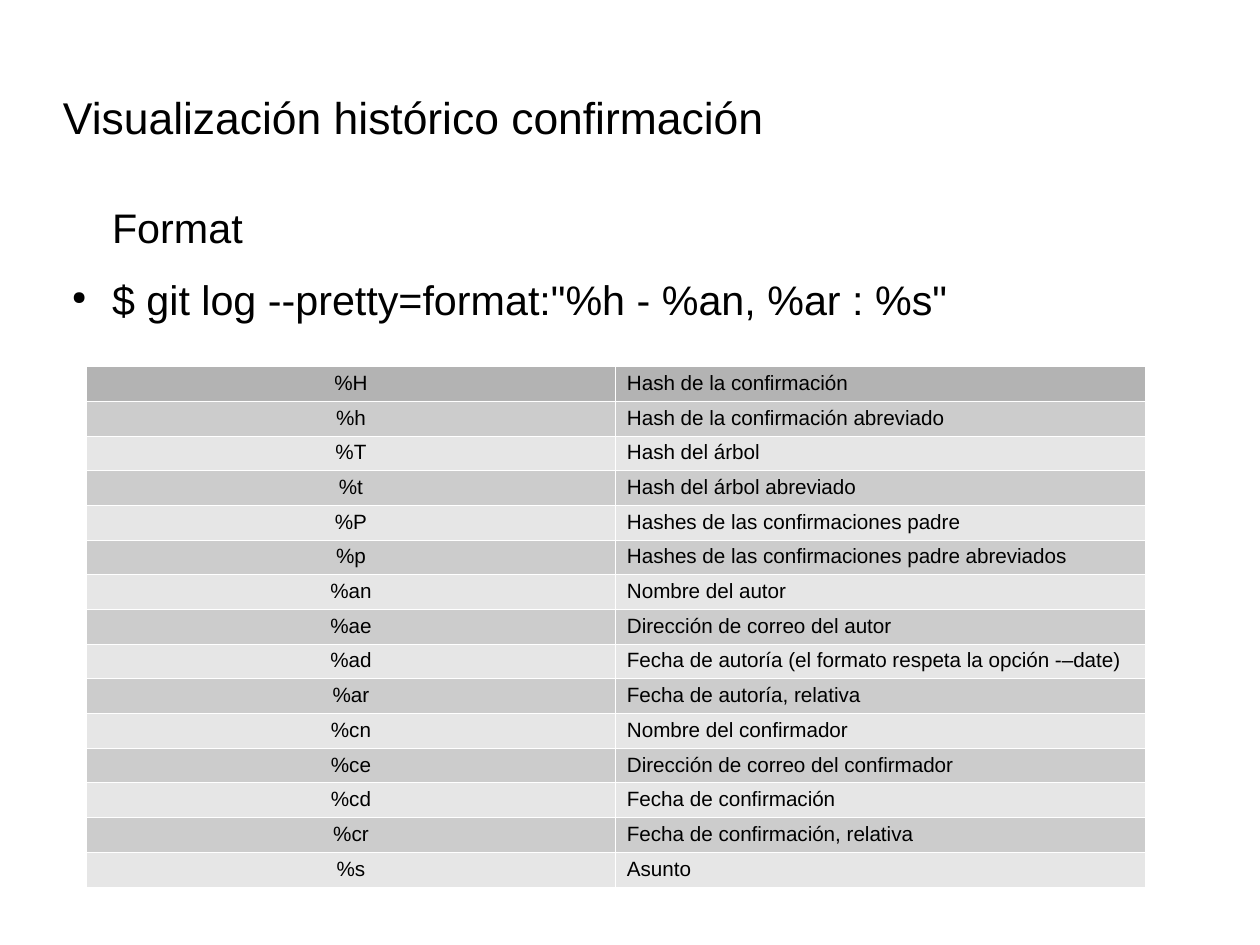
from dataclasses import dataclass

import pptx
import pptx.dml.color
import pptx.enum.text
import pptx.oxml
import pptx.oxml.ns
import pptx.util

SLIDE_WIDTH = pptx.util.Cm(28)
SLIDE_HEIGHT = pptx.util.Cm(21)
FONT = "Arial"
COLOURS = {"text": "000000", "border": "FFFFFF", "header": "B3B3B3",
           "odd": "CCCCCC", "even": "E6E6E6"}


@dataclass(frozen=True)
class Area:
    """A rectangle in percent of the slide's width and height."""
    left: float
    top: float
    width: float
    height: float

    def box(self) -> tuple[int, int, int, int]:
        return (round(SLIDE_WIDTH * self.left / 100),
                round(SLIDE_HEIGHT * self.top / 100),
                round(SLIDE_WIDTH * self.width / 100),
                round(SLIDE_HEIGHT * self.height / 100))


@dataclass(frozen=True)
class Line:
    text: str
    bulleted: bool = False


@dataclass(frozen=True)
class Placeholder:
    code: str
    meaning: str


TITLE_AREA = Area(5, 7.55, 71.4, 9.55)
COMMAND_AREA = Area(4.63, 21.4, 90, 73.76)
OPTIONS_AREA = Area(6.85, 38.75, 84, 55.14)

COMMAND_LINES = [
    Line("Format"),
    Line('$ git log --pretty=format:"%h - %an, %ar : %s"', bulleted=True),
]

OPTIONS = [
    Placeholder("%H", "Hash de la confirmación"),
    Placeholder("%h", "Hash de la confirmación abreviado"),
    Placeholder("%T", "Hash del árbol"),
    Placeholder("%t", "Hash del árbol abreviado"),
    Placeholder("%P", "Hashes de las confirmaciones padre"),
    Placeholder("%p", "Hashes de las confirmaciones padre abreviados"),
    Placeholder("%an", "Nombre del autor"),
    Placeholder("%ae", "Dirección de correo del autor"),
    Placeholder("%ad", "Fecha de autoría (el formato respeta la opción -–date)"),
    Placeholder("%ar", "Fecha de autoría, relativa"),
    Placeholder("%cn", "Nombre del confirmador"),
    Placeholder("%ce", "Dirección de correo del confirmador"),
    Placeholder("%cd", "Fecha de confirmación"),
    Placeholder("%cr", "Fecha de confirmación, relativa"),
    Placeholder("%s", "Asunto"),
]


def rgb(name: str) -> pptx.dml.color.RGBColor:
    return pptx.dml.color.RGBColor.from_string(COLOURS[name])


def write(paragraph, text: str, size: float, align: str = "LEFT") -> None:
    paragraph.text = text
    paragraph.alignment = getattr(pptx.enum.text.PP_ALIGN, align)
    paragraph.font.name = FONT
    paragraph.font.size = pptx.util.Pt(size)
    paragraph.font.color.rgb = rgb("text")


def prepare_frame(frame, anchor: str) -> None:
    frame.margin_left = frame.margin_right = 0
    frame.margin_top = frame.margin_bottom = 0
    frame.word_wrap = True
    frame.auto_size = pptx.enum.text.MSO_AUTO_SIZE.NONE
    frame.vertical_anchor = getattr(pptx.enum.text.MSO_ANCHOR, anchor)


def indent(paragraph, bulleted: bool) -> None:
    properties = paragraph._p.get_or_add_pPr()
    properties.set("marL", str(pptx.util.Inches(0.47)))
    properties.set("indent", str(pptx.util.Inches(-0.35) if bulleted else 0))
    namespace = pptx.oxml.ns.nsdecls("a")
    bullet = [f'<a:buClr {namespace}><a:srgbClr val="{COLOURS["text"]}"/></a:buClr>',
              f'<a:buSzPct {namespace} val="45000"/>',
              f'<a:buChar {namespace} char="●"/>']
    for xml in bullet if bulleted else [f"<a:buNone {namespace}/>"]:
        properties.append(pptx.oxml.parse_xml(xml))


def add_borders(cell) -> None:
    properties = cell._tc.get_or_add_tcPr()
    for side in ("lnL", "lnR", "lnT", "lnB"):
        properties.append(pptx.oxml.parse_xml(
            f'<a:{side} {pptx.oxml.ns.nsdecls("a")} w="720"><a:solidFill>'
            f'<a:srgbClr val="{COLOURS["border"]}"/></a:solidFill></a:{side}>'))


def fill_cell(cell, text: str, align: str, fill: str) -> None:
    cell.margin_left = cell.margin_right = pptx.util.Inches(0.1)
    cell.margin_top = cell.margin_bottom = pptx.util.Pt(3.5)
    add_borders(cell)
    cell.fill.solid()
    cell.fill.fore_color.rgb = rgb(fill)
    write(cell.text_frame.paragraphs[0], text, 13, align)


def add_title(slide) -> None:
    title = slide.shapes.title
    title.left, title.top, title.width, title.height = TITLE_AREA.box()
    prepare_frame(title.text_frame, "MIDDLE")
    write(title.text_frame.paragraphs[0], "Visualización histórico confirmación", 28)


def add_command(slide) -> None:
    frame = slide.shapes.add_textbox(*COMMAND_AREA.box()).text_frame
    prepare_frame(frame, "TOP")
    for number, line in enumerate(COMMAND_LINES):
        paragraph = frame.add_paragraph() if number else frame.paragraphs[0]
        paragraph.space_after = pptx.util.Pt(14.2)
        indent(paragraph, line.bulleted)
        write(paragraph, line.text, 26)


def add_options(slide) -> None:
    table = slide.shapes.add_table(len(OPTIONS), 2, *OPTIONS_AREA.box()).table
    table.first_row = table.horz_banding = False
    for number, option in enumerate(OPTIONS):
        fill = ("odd" if number % 2 else "even") if number else "header"
        fill_cell(table.cell(number, 0), option.code, "CENTER", fill)
        fill_cell(table.cell(number, 1), option.meaning, "LEFT", fill)


def main() -> None:
    deck = pptx.Presentation()
    deck.slide_width, deck.slide_height = SLIDE_WIDTH, SLIDE_HEIGHT
    slide = deck.slides.add_slide(deck.slide_layouts.get_by_name("Title Only"))

    # Heading, command and table of format options
    add_title(slide)
    add_command(slide)
    add_options(slide)
    deck.save("out.pptx")


if __name__ == "__main__":
    main()
